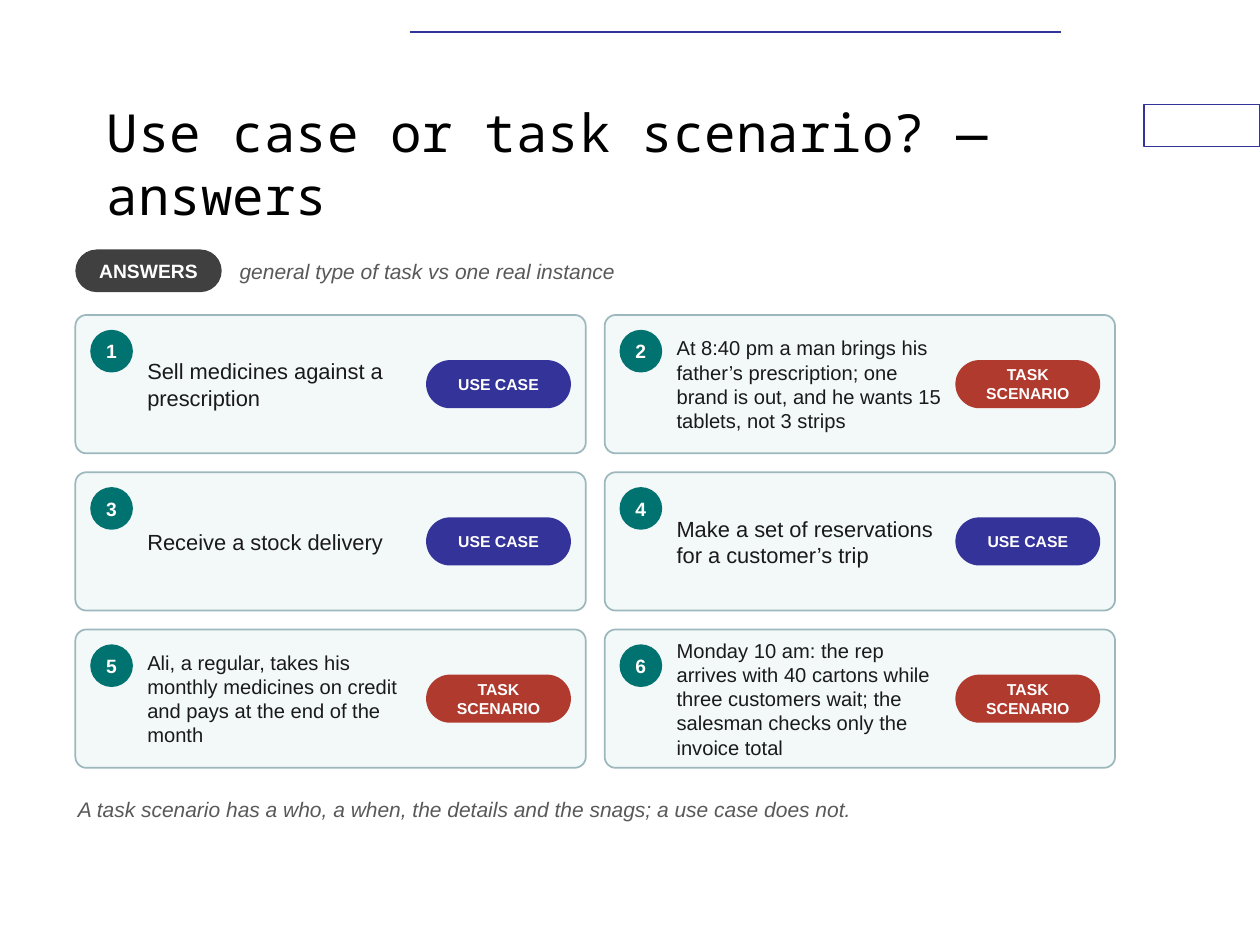
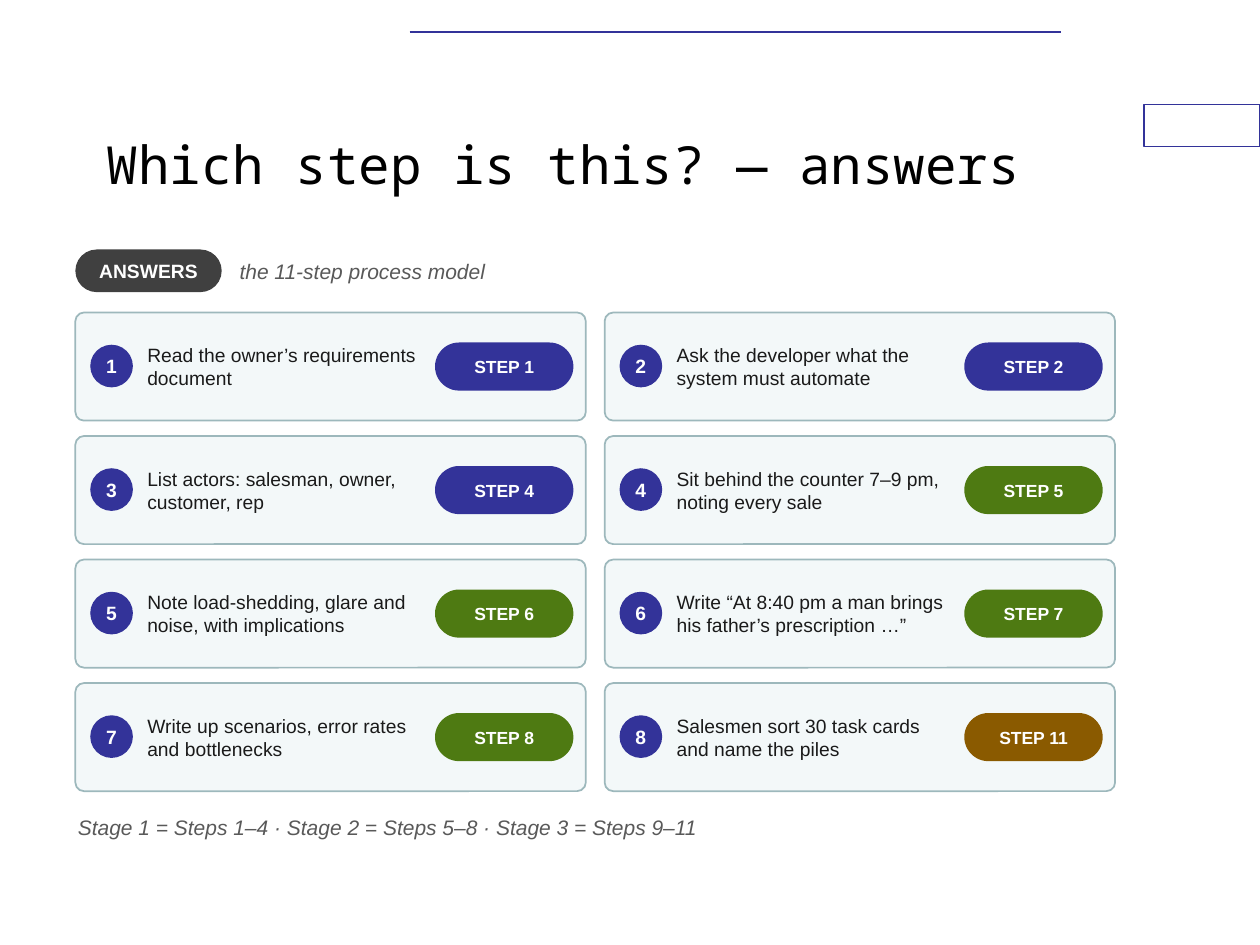
from dataclasses import dataclass

from lxml import etree
from pptx import Presentation
from pptx.dml.color import RGBColor
from pptx.enum.shapes import MSO_CONNECTOR, MSO_SHAPE
from pptx.enum.text import MSO_ANCHOR, MSO_AUTO_SIZE, PP_ALIGN
from pptx.oxml.ns import qn
from pptx.util import Cm, Pt

RECTANGLE = MSO_SHAPE.RECTANGLE
ROUNDED = MSO_SHAPE.ROUNDED_RECTANGLE
OVAL = MSO_SHAPE.OVAL
STRAIGHT = MSO_CONNECTOR.STRAIGHT
TOP, MIDDLE = MSO_ANCHOR.TOP, MSO_ANCHOR.MIDDLE
LEFT, CENTER = PP_ALIGN.LEFT, PP_ALIGN.CENTER
NO_AUTOFIT = MSO_AUTO_SIZE.NONE

COLORS = {
    "white": "FFFFFF",
    "black": "000000",
    "indigo": "333399",
    "teal": "00726F",
    "red": "B03A2E",
    "green": "4E7A12",
    "brown": "8A5A00",
    "charcoal": "404040",
    "muted": "595959",
    "ink": "1A1A1A",
    "card": "F3F8F9",
    "card_line": "9DB8BC",
}
BODY_FONT = "Arial"
TITLE_FONT = "Noto Sans Mono"
TITLE_LAYOUT = 5
MARGIN = 1.52
COLUMNS = 2
COLUMN_GAP = 0.38
CARD_WIDTH = 10.29
BADGE_SIZE = 0.86
BADGE_LEFT = 0.3
CARD_TEXT_LEFT = 1.4
TAG_HEIGHT = 0.97
LONG_TEXT = 60


@dataclass
class CardStyle:
    top: float
    height: float
    row_gap: float
    badge_color: str
    badge_top: float
    text_width: float
    text_padding: float
    short_size: float
    long_size: float
    tag_width: float
    tag_margin: float
    tag_size: float
    tag_colors: dict


SCENARIO_STYLE = CardStyle(
    top=6.35, height=2.79, row_gap=0.38,
    badge_color="teal", badge_top=0.3,
    text_width=5.46, text_padding=0.15, short_size=12.5, long_size=11.5,
    tag_width=2.92, tag_margin=0.3, tag_size=9,
    tag_colors={"USE CASE": "indigo", "TASK SCENARIO": "red"},
)
STEP_STYLE = CardStyle(
    top=6.3, height=2.18, row_gap=0.31,
    badge_color="indigo", badge_top=0.65,
    text_width=5.72, text_padding=0.1, short_size=11, long_size=11,
    tag_width=2.79, tag_margin=0.25, tag_size=10,
    tag_colors={
        **{f"STEP {number}": "indigo" for number in range(1, 5)},
        **{f"STEP {number}": "green" for number in range(5, 9)},
        **{f"STEP {number}": "brown" for number in range(9, 12)},
    },
)

SCENARIO_CARDS = [
    ("Sell medicines against a prescription", "USE CASE"),
    ("At 8:40 pm a man brings his father’s prescription; one brand is out, "
     "and he wants 15 tablets, not 3 strips", "TASK SCENARIO"),
    ("Receive a stock delivery", "USE CASE"),
    ("Make a set of reservations for a customer’s trip", "USE CASE"),
    ("Ali, a regular, takes his monthly medicines on credit and pays "
     "at the end of the month", "TASK SCENARIO"),
    ("Monday 10 am: the rep arrives with 40 cartons while three customers wait; "
     "the salesman checks only the invoice total", "TASK SCENARIO"),
]
STEP_CARDS = [
    ("Read the owner’s requirements document", "STEP 1"),
    ("Ask the developer what the system must automate", "STEP 2"),
    ("List actors: salesman, owner, customer, rep", "STEP 4"),
    ("Sit behind the counter 7–9 pm, noting every sale", "STEP 5"),
    ("Note load-shedding, glare and noise, with implications", "STEP 6"),
    ("Write “At 8:40 pm a man brings his father’s prescription …”", "STEP 7"),
    ("Write up scenarios, error rates and bottlenecks", "STEP 8"),
    ("Salesmen sort 30 task cards and name the piles", "STEP 11"),
]


def rgb(name):
    return RGBColor.from_string(COLORS[name])


def box_lengths(box):
    return [Cm(length) for length in box]


def write_text(shape, text, size, color="white", font=BODY_FONT, bold=False,
               italic=False, align=LEFT, anchor=MIDDLE, inset=0.05):
    frame = shape.text_frame
    frame.word_wrap = True
    frame.auto_size = NO_AUTOFIT
    frame.vertical_anchor = anchor
    frame.margin_left = frame.margin_right = Cm(inset)
    frame.margin_top = frame.margin_bottom = Cm(inset)
    paragraph = frame.paragraphs[0]
    paragraph.alignment = align
    run = paragraph.add_run()
    run.text = text
    run.font.name = font
    run.font.size = Pt(size)
    run.font.bold = bold
    run.font.italic = italic
    run.font.color.rgb = rgb(color)


def add_text(slide, box, text, size, **text_format):
    shape = slide.shapes.add_textbox(*box_lengths(box))
    write_text(shape, text, size, **text_format)


def add_panel(slide, kind, box, fill, line=None, line_width=1, rounding=None):
    shape = slide.shapes.add_shape(kind, *box_lengths(box))
    shape.shadow.inherit = False
    shape.fill.solid()
    shape.fill.fore_color.rgb = rgb(fill)
    if line:
        shape.line.color.rgb = rgb(line)
        shape.line.width = Pt(line_width)
    else:
        shape.line.fill.background()
    if rounding is not None:
        shape.adjustments[0] = rounding
    return shape


def add_pill(slide, box, text, size, fill):
    pill = add_panel(slide, ROUNDED, box, fill, rounding=0.5)
    write_text(pill, text, size, bold=True, align=CENTER, inset=0.08)


def add_frame(slide):
    add_panel(slide, RECTANGLE, (23.06, 2.11, 2.34, 0.84), "white", "indigo", 0.75)
    rule = slide.shapes.add_connector(STRAIGHT, Cm(8.26), Cm(0.64), Cm(21.39), Cm(0.64))
    rule.line.color.rgb = rgb("indigo")
    rule.line.width = Pt(1)
    etree.SubElement(rule._element.spPr, qn("a:effectLst"))


def add_title(slide, text, box):
    title = slide.shapes.title
    title.left, title.top, title.width, title.height = box_lengths(box)
    write_text(title, text, 30, color="black", font=TITLE_FONT, inset=0.25)


def add_heading(slide, hint, left, top):
    add_pill(slide, (left, top, 2.95, 0.86), "ANSWERS", 11, "charcoal")
    add_text(slide, (left + 3.26, top, 17.86, 0.86), hint, 12,
             color="muted", italic=True)


def add_card(slide, left, top, number, text, tag, style):
    add_panel(slide, ROUNDED, (left, top, CARD_WIDTH, style.height),
              "card", "card_line", rounding=0.08)
    badge_box = (left + BADGE_LEFT, top + style.badge_top, BADGE_SIZE, BADGE_SIZE)
    badge = add_panel(slide, OVAL, badge_box, style.badge_color)
    write_text(badge, str(number), 11, bold=True, align=CENTER, inset=0)
    size = style.long_size if len(text) > LONG_TEXT else style.short_size
    add_text(slide, (left + CARD_TEXT_LEFT, top + style.text_padding,
                     style.text_width, style.height - 2 * style.text_padding),
             text, size, color="ink")
    tag_left = left + CARD_WIDTH - style.tag_margin - style.tag_width
    tag_top = top + (style.height - TAG_HEIGHT) / 2
    add_pill(slide, (tag_left, tag_top, style.tag_width, TAG_HEIGHT),
             tag, style.tag_size, style.tag_colors[tag])


def add_card_grid(slide, cards, left, style):
    for index, (text, tag) in enumerate(cards):
        row, column = divmod(index, COLUMNS)
        add_card(slide, left + column * (CARD_WIDTH + COLUMN_GAP),
                 style.top + row * (style.height + style.row_gap),
                 index + 1, text, tag, style)


def add_answer_slide(presentation, title, hint, cards, style, note, note_top):
    slide = presentation.slides.add_slide(presentation.slide_layouts[TITLE_LAYOUT])
    add_frame(slide)
    add_title(slide, title, (1.9, 1.7, 19.05, 3.18))
    add_heading(slide, hint, MARGIN, 5.03)
    add_card_grid(slide, cards, MARGIN, style)
    add_text(slide, (MARGIN, note_top, 21.08, 1.27), note, 12,
             color="muted", italic=True, anchor=TOP)


def main():
    presentation = Presentation()
    presentation.slide_width = Cm(25.4)
    presentation.slide_height = Cm(19.05)
    add_answer_slide(
        presentation, "Use case or task scenario? — answers",
        "general type of task vs one real instance", SCENARIO_CARDS, SCENARIO_STYLE,
        "A task scenario has a who, a when, the details and the snags; a use case does not.",
        16)
    add_answer_slide(
        presentation, "Which step is this? — answers",
        "the 11-step process model", STEP_CARDS, STEP_STYLE,
        "Stage 1 = Steps 1–4 · Stage 2 = Steps 5–8 · Stage 3 = Steps 9–11",
        16.38)
    presentation.save("out.pptx")


if __name__ == "__main__":
    main()
